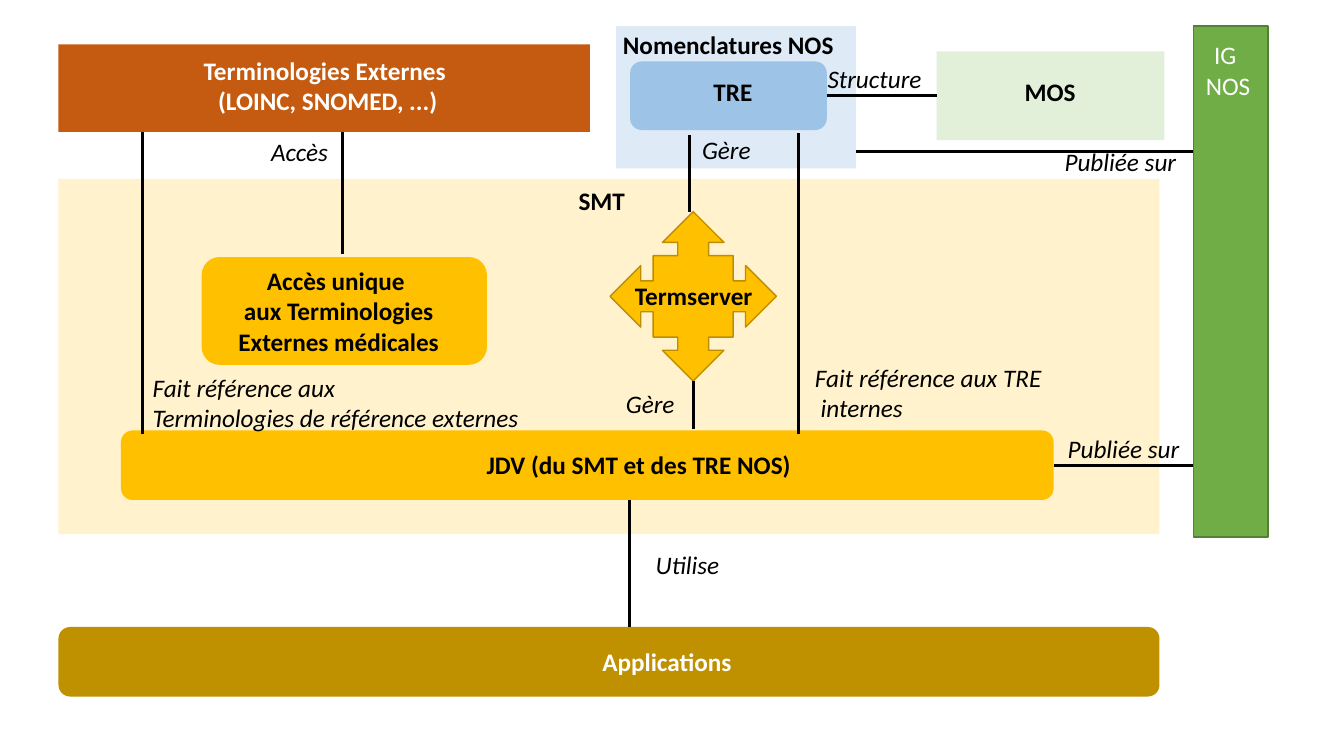
from lxml.etree import SubElement
from pptx import Presentation
from pptx.dml.color import RGBColor
from pptx.enum.shapes import MSO_CONNECTOR as Connector, MSO_SHAPE as Shape
from pptx.enum.text import MSO_AUTO_SIZE as AutoSize, PP_ALIGN as Align
from pptx.oxml.ns import qn
from pptx.util import Inches, Pt

COLOURS = {
    "black": "000000", "white": "FFFFFF", "pale blue": "DEEBF7", "blue": "9DC3E6",
    "cream": "FFF2CC", "amber": "FFC000", "dark amber": "BD8E00", "bronze": "BF9000",
    "pale green": "E2F0D9", "green": "70AD47", "dark green": "538035", "rust": "C55A11",
}
RGB = {name: RGBColor.from_string(value) for name, value in COLOURS.items()}
TOP, LEFT, BOTTOM, RIGHT = range(4)


def cells(*counts):
    """Turn counts of grid cells, ten to the inch, into lengths."""
    return [Inches(count / 10) for count in counts]


def write(text, place, colour="black", bold=False, italic=False, align=Align.LEFT, wrap=False):
    frame = page.shapes.add_textbox(*cells(*place)).text_frame
    frame.word_wrap = wrap
    frame.auto_size = AutoSize.SHAPE_TO_FIT_TEXT
    frame.text = text
    for para in frame.paragraphs:
        para.alignment = align
        for span in para.runs:
            span.font.name = "Calibri"
            span.font.size = Pt(18)
            span.font.bold = bold
            span.font.italic = italic
            span.font.color.rgb = RGB[colour]


deck = Presentation()
deck.slide_width, deck.slide_height = cells(133.3, 75)
page = deck.slides.add_slide(deck.slide_layouts[6])

# Boxes: name, shape, place, fill, outline
boxes = {}
for name, kind, place, fill, outline in [
    ("Nomenclatures", Shape.RECTANGLE, (61.1, 2.6, 23.8, 14.1), "pale blue", None),
    ("SMT", Shape.RECTANGLE, (5.8, 17.75, 109.2, 35.25), "cream", None),
    ("Accès unique", Shape.ROUNDED_RECTANGLE, (20, 25.5, 28.3, 10.7), "amber", None),
    ("JDV", Shape.ROUNDED_RECTANGLE, (12, 42.7, 92.5, 6.9), "amber", None),
    ("Applications", Shape.ROUNDED_RECTANGLE, (5.8, 62.2, 109.2, 6.9), "bronze", None),
    ("TRE", Shape.ROUNDED_RECTANGLE, (62.5, 6.1, 19.5, 6.8), "blue", None),
    ("MOS", Shape.RECTANGLE, (92.9, 5.1, 22.6, 8.8), "pale green", None),
    ("Terminologies", Shape.RECTANGLE, (5.8, 4.4, 52.7, 8.7), "rust", None),
    ("IG NOS", Shape.RECTANGLE, (118.35, 2.6, 7.4, 50.7), "green", "dark green"),
    ("Serveur", Shape.QUAD_ARROW_CALLOUT, (60.5, 21, 16.5, 16.8), "amber", "dark amber"),
]:
    box = boxes[name] = page.shapes.add_shape(kind, *cells(*place))
    box.shadow.inherit = False
    box.fill.solid()
    box.fill.fore_color.rgb = RGB[fill]
    if outline:
        box.line.color.rgb = RGB[outline]
        box.line.width = Pt(1)
    else:
        box.line.fill.background()

# Links: start and end points, then the box sides they join
for points, start, end in [
    ((14.1, 13.1, 14.1, 43.1), None, None),
    ((34, 13.1, 34, 25.2), None, None),
    ((79.2, 13.2, 79.2, 43.1), None, None),
    ((68.4, 13.4, 68.4, 21), None, None),
    ((68.75, 37.8, 68.75, 42.6), ("Serveur", BOTTOM), None),
    ((62.4, 49.6, 62.4, 62.2), None, None),
    ((92.9, 9.5, 82, 9.5), ("MOS", LEFT), ("TRE", RIGHT)),
    ((118.35, 46.15, 104.5, 46.15), None, ("JDV", RIGHT)),
    ((118.35, 15, 84.9, 15), None, None),
]:
    link = page.shapes.add_connector(Connector.STRAIGHT, *cells(*points))
    link.line.color.rgb = RGB["black"]
    link.line.width = Pt(2.25)
    SubElement(link._element.spPr, qn("a:effectLst"))
    if start:
        link.begin_connect(boxes[start[0]], start[1])
    if end:
        link.end_connect(boxes[end[0]], end[1])

# Names of the boxes
write("SMT", (56.4, 17.9, 6.7, 4), bold=True, wrap=True)
write("Nomenclatures NOS", (60.8, 2.4, 23.7, 4), bold=True, wrap=True)
write("IG \nNOS", (118.55, 3.45, 6.5, 7.1), colour="white", align=Align.CENTER)
for text, place, colour, wrap in [
    ("JDV (du SMT et des TRE NOS)", (47.1, 44.1, 32.5, 4), "black", False),
    ("Applications", (22.6, 63.6, 87.1, 4), "white", True),
    ("TRE", (62.85, 7.1, 19.7, 4), "black", True),
    ("MOS", (93.5, 7.1, 21.3, 4), "black", True),
    ("Terminologies Externes \n(LOINC, SNOMED, ...)", (8.25, 4.95, 48.5, 7.1), "white", True),
    ("Accès unique \naux Terminologies\nExternes médicales", (22.6, 25.85, 22, 10.1), "black", False),
    ("Termserver", (61.9, 27.3, 13.8, 4), "black", False),
]:
    write(text, place, colour=colour, bold=True, align=Align.CENTER, wrap=wrap)

# Names of the links
for text, place in [
    ("Structure", (81.1, 5.8, 11.4, 4)),
    ("Utilise", (64.05, 54, 8.4, 4)),
    ("Fait référence aux TRE\n internes", (79.85, 35.4, 24.7, 7.1)),
    ("Fait référence aux\nTerminologies de référence externes", (14.15, 36.45, 38.7, 7.1)),
    ("Accès", (25.9, 13, 7.7, 4)),
    ("Publiée sur", (104.6, 14, 13.1, 4)),
    ("Publiée sur", (104.9, 42.5, 13.1, 4)),
    ("Gère", (61.1, 38, 6.9, 4)),
    ("Gère", (68.65, 12.8, 6.9, 4)),
]:
    write(text, place, italic=True)

deck.save("out.pptx")
